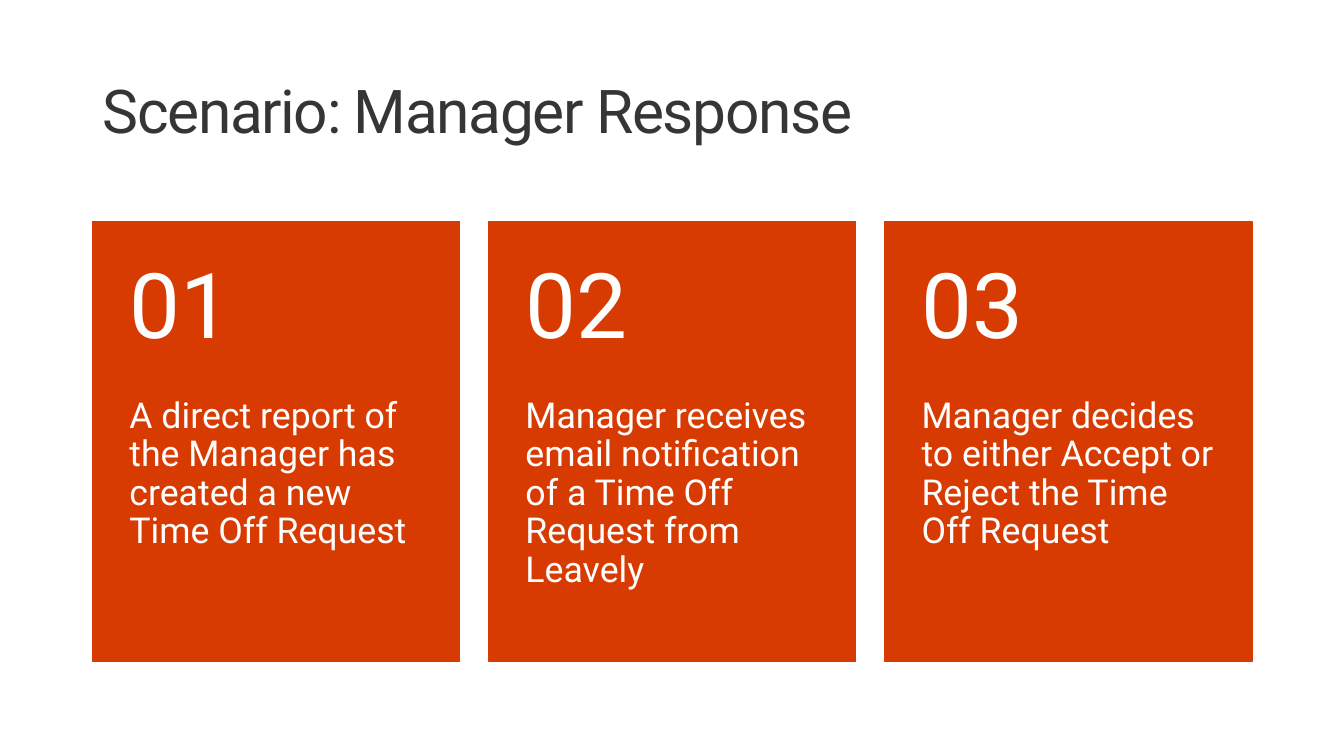
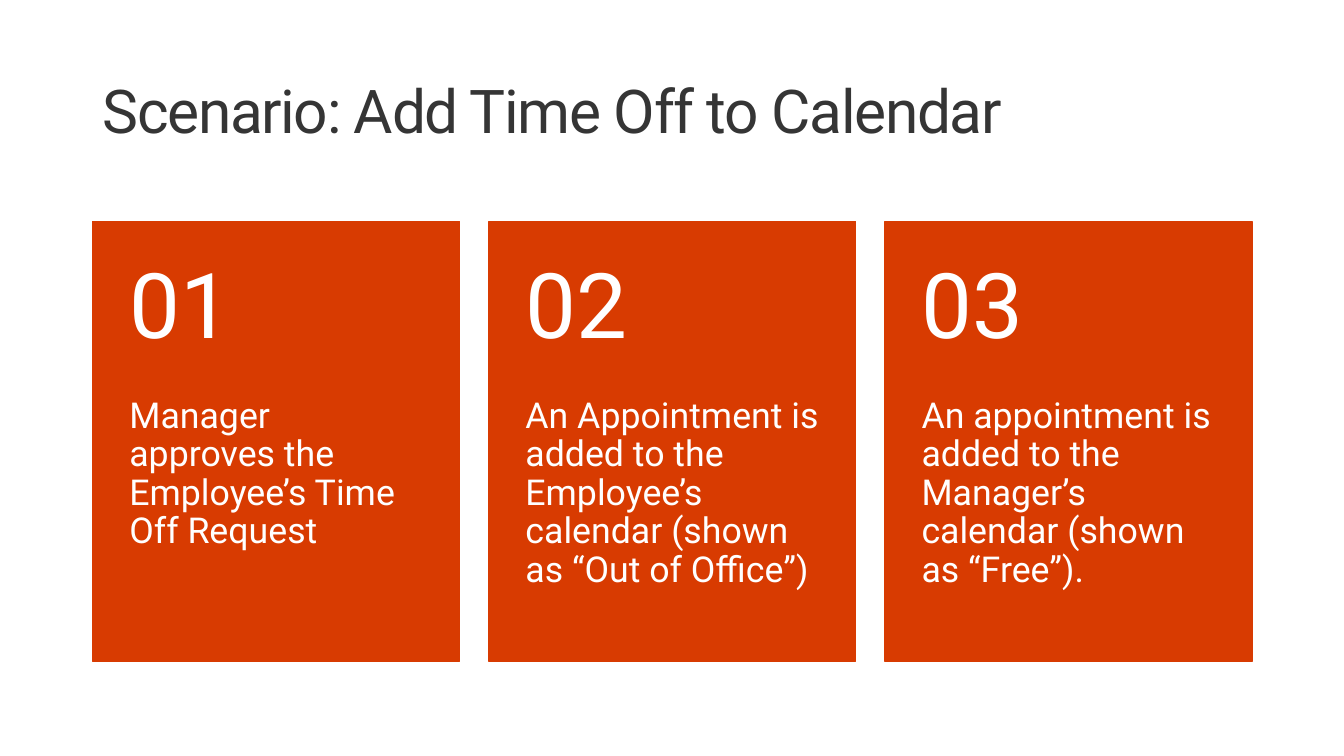
import collections
import dataclasses

import pptx
import pptx.dml.color
import pptx.enum.shapes
import pptx.enum.text
import pptx.util

Pt = pptx.util.Pt
RGBColor = pptx.dml.color.RGBColor
Anchor = pptx.enum.text.MSO_ANCHOR
Box = collections.namedtuple("Box", "left top width height")
Insets = collections.namedtuple("Insets", "left top right bottom")


@dataclasses.dataclass(frozen=True)
class Theme:
    font: str = "Roboto"
    title_color: RGBColor = RGBColor(0x35, 0x35, 0x35)
    card_color: RGBColor = RGBColor(0xD8, 0x3B, 0x01)
    card_text_color: RGBColor = RGBColor(0xFF, 0xFF, 0xFF)
    title_size: float = 44
    number_size: float = 66
    body_size: float = 26
    title_tracking: int = -100
    line_spacing: float = 0.9
    card_outline: float = 0.85


THEME = Theme()
SLIDE_WIDTH, SLIDE_HEIGHT = 979.2, 550.8
TITLE_BOX = Box(67.7, 29.5, 844.5, 106.6)
CARDS_BOX = Box(67.7, 161.3, 844.5, 320.4)
CARD_GAP = 21.2
NUMBER_SHARE = 0.4
TITLE_INSETS = Insets(7.2, 3.6, 7.2, 3.6)
NUMBER_INSETS = Insets(26.6, 13, 26.6, 13)
BODY_INSETS = Insets(26.6, 0, 26.6, 26)

SCENARIOS = [
    ("Scenario: Manager Response", [
        "A direct report of the Manager has created a new Time Off Request",
        "Manager receives email notification of a Time Off Request from Leavely",
        "Manager decides to either Accept or Reject the Time Off Request",
    ]),
    ("Scenario: Add Time Off to Calendar", [
        "Manager approves the Employee’s Time Off Request",
        "An Appointment is added to the Employee’s calendar (shown as “Out of Office”)",
        "An appointment is added to the Manager’s calendar (shown as “Free”).",
    ]),
]


def to_points(box):
    return [Pt(length) for length in box]


def add_text(shapes, box, text, size, color, insets, anchor):
    shape = shapes.add_textbox(*to_points(box))
    frame = shape.text_frame
    frame.word_wrap = True
    frame.vertical_anchor = anchor
    frame.margin_left, frame.margin_top, frame.margin_right, frame.margin_bottom = to_points(insets)
    frame.text = text
    paragraph = frame.paragraphs[0]
    paragraph.line_spacing = THEME.line_spacing
    run = paragraph.runs[0]
    run.font.name = THEME.font
    run.font.size = Pt(size)
    run.font.color.rgb = color
    return run


def add_title(slide, box, text):
    run = add_text(slide.shapes, box, text, THEME.title_size, THEME.title_color,
                   TITLE_INSETS, Anchor.MIDDLE)
    run.font._element.set("spc", str(THEME.title_tracking))


def add_card(slide, box, number, body):
    shapes = slide.shapes.add_group_shape().shapes
    panel = shapes.add_shape(pptx.enum.shapes.MSO_SHAPE.RECTANGLE, *to_points(box))
    panel.shadow.inherit = False
    panel.fill.solid()
    panel.fill.fore_color.rgb = THEME.card_color
    panel.line.color.rgb = THEME.card_color
    panel.line.width = Pt(THEME.card_outline)
    number_height = box.height * NUMBER_SHARE
    number_box = box._replace(height=number_height)
    body_box = box._replace(top=box.top + number_height, height=box.height - number_height)
    add_text(shapes, body_box, body, THEME.body_size, THEME.card_text_color,
             BODY_INSETS, Anchor.TOP)
    add_text(shapes, number_box, f"{number:02d}", THEME.number_size, THEME.card_text_color,
             NUMBER_INSETS, Anchor.MIDDLE)


def add_cards(slide, box, steps):
    width = (box.width - CARD_GAP * (len(steps) - 1)) / len(steps)
    for index, step in enumerate(steps):
        left = box.left + index * (width + CARD_GAP)
        add_card(slide, box._replace(left=left, width=width), index + 1, step)


def add_scenario_slide(presentation, title, steps):
    slide = presentation.slides.add_slide(presentation.slide_layouts[6])
    add_title(slide, TITLE_BOX, title)
    add_cards(slide, CARDS_BOX, steps)


presentation = pptx.Presentation()
presentation.slide_width = Pt(SLIDE_WIDTH)
presentation.slide_height = Pt(SLIDE_HEIGHT)
for title, steps in SCENARIOS:
    add_scenario_slide(presentation, title, steps)
presentation.save("out.pptx")
